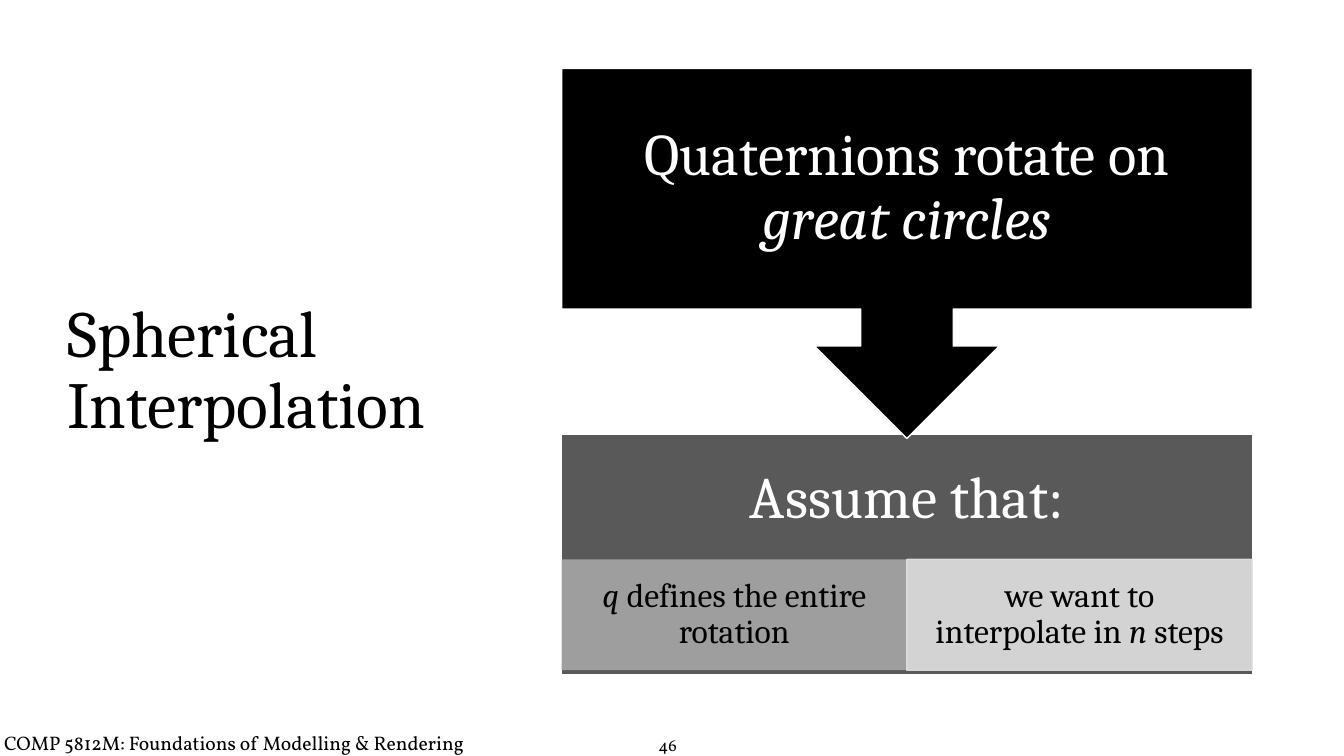
from lxml.etree import SubElement
from pptx import Presentation
from pptx.dml.color import RGBColor
from pptx.enum.shapes import MSO_SHAPE
from pptx.enum.text import MSO_ANCHOR, PP_ALIGN
from pptx.oxml.ns import qn
from pptx.util import Inches, Pt

BLACK = RGBColor(0x00, 0x00, 0x00)
WHITE = RGBColor(0xFF, 0xFF, 0xFF)
DARK = RGBColor(0x59, 0x59, 0x59)
MID = RGBColor(0xA6, 0xA6, 0xA6)
LIGHT = RGBColor(0xE1, 0xE1, 0xE1)

deck = Presentation()
deck.slide_width, deck.slide_height = Inches(13.33), Inches(7.5)
slide = deck.slides.add_slide(deck.slide_layouts[6])


def add_text(area, runs, size, font="Cambria", color=BLACK, align=PP_ALIGN.CENTER,
             anchor=MSO_ANCHOR.MIDDLE, margins=(0.1, 0.05), spacing=0.9, wrap=True):
    """Write (text, italic) runs as one paragraph; margins are (side, top and bottom)."""
    frame = slide.shapes.add_textbox(*map(Inches, area)).text_frame
    frame.word_wrap = wrap
    frame.vertical_anchor = anchor
    frame.margin_left = frame.margin_right = Inches(margins[0])
    frame.margin_top = frame.margin_bottom = Inches(margins[1])
    paragraph = frame.paragraphs[0]
    paragraph.alignment = align
    paragraph.line_spacing = spacing
    for words, italic in runs:
        run = paragraph.add_run()
        run.text = words
        run.font.name, run.font.size = font, Pt(size)
        run.font.color.rgb, run.font.italic = color, italic


def add_block(kind, area, fill, line=None, opacity=100):
    block = slide.shapes.add_shape(kind, *map(Inches, area))
    block.shadow.inherit = False
    block.fill.solid()
    block.fill.fore_color.rgb = fill
    if line is None:
        block.line.fill.background()
    else:
        block.line.color.rgb = line
        block.line.width = Pt(1)
    if opacity < 100:
        for color in block._element.spPr.iter(qn("a:srgbClr")):
            SubElement(color, qn("a:alpha"), val=str(opacity * 1000))
    return block


# Footer and title
add_text((-0.02, 7.13, 6.31, 0.39),
         [("COMP 5812M: Foundations of Modelling & Rendering", False)], 14,
         font="Vollkorn", align=PP_ALIGN.LEFT, anchor=MSO_ANCHOR.TOP,
         margins=(0.06, 0.06), spacing=Pt(21))
add_text((6.49, 7.19, 0.35, 0.33), [("46", False)], 12, font="Vollkorn",
         align=PP_ALIGN.LEFT, margins=(0.04, 0.04), spacing=Pt(19), wrap=False)
add_text((0.57, 0.68, 4.16, 6.02), [("Spherical Interpolation", False)], 47,
         align=PP_ALIGN.LEFT)

# Diagram: a statement pointing down to its assumptions
LEFT, WIDTH, STEP_HEIGHT = 5.57, 6.85, 2.38
STATEMENT_TOP, ASSUME_TOP, CASE_TOP = 0.68, 4.31, 5.55
CASE_WIDTH, CASE_HEIGHT = WIDTH / 2, 1.1

add_block(MSO_SHAPE.RECTANGLE, (LEFT, ASSUME_TOP, WIDTH, STEP_HEIGHT), DARK, WHITE)
add_text((LEFT, ASSUME_TOP, WIDTH, 1.29), [("Assume that:", False)], 42,
         color=WHITE, margins=(0.33, 0.33))

cases = [
    (MID, None, [("q", True), (" defines the entire rotation", False)]),
    (LIGHT, LIGHT, [("we want to interpolate in ", False), ("n", True), (" steps", False)]),
]
for column, (fill, line, runs) in enumerate(cases):
    area = (LEFT + column * CASE_WIDTH, CASE_TOP, CASE_WIDTH, CASE_HEIGHT)
    add_block(MSO_SHAPE.RECTANGLE, area, fill, line, opacity=90)
    add_text(area, runs, 24, margins=(0.19, 0.03))

statement = add_block(MSO_SHAPE.UP_ARROW_CALLOUT, (LEFT, STATEMENT_TOP, WIDTH, 3.67),
                      BLACK, WHITE)
statement.rotation = 180
add_text((LEFT, STATEMENT_TOP, WIDTH, STEP_HEIGHT),
         [("Quaternions rotate on ", False), ("great circles", True)], 42,
         color=WHITE, margins=(0.33, 0.33))

deck.save("out.pptx")
